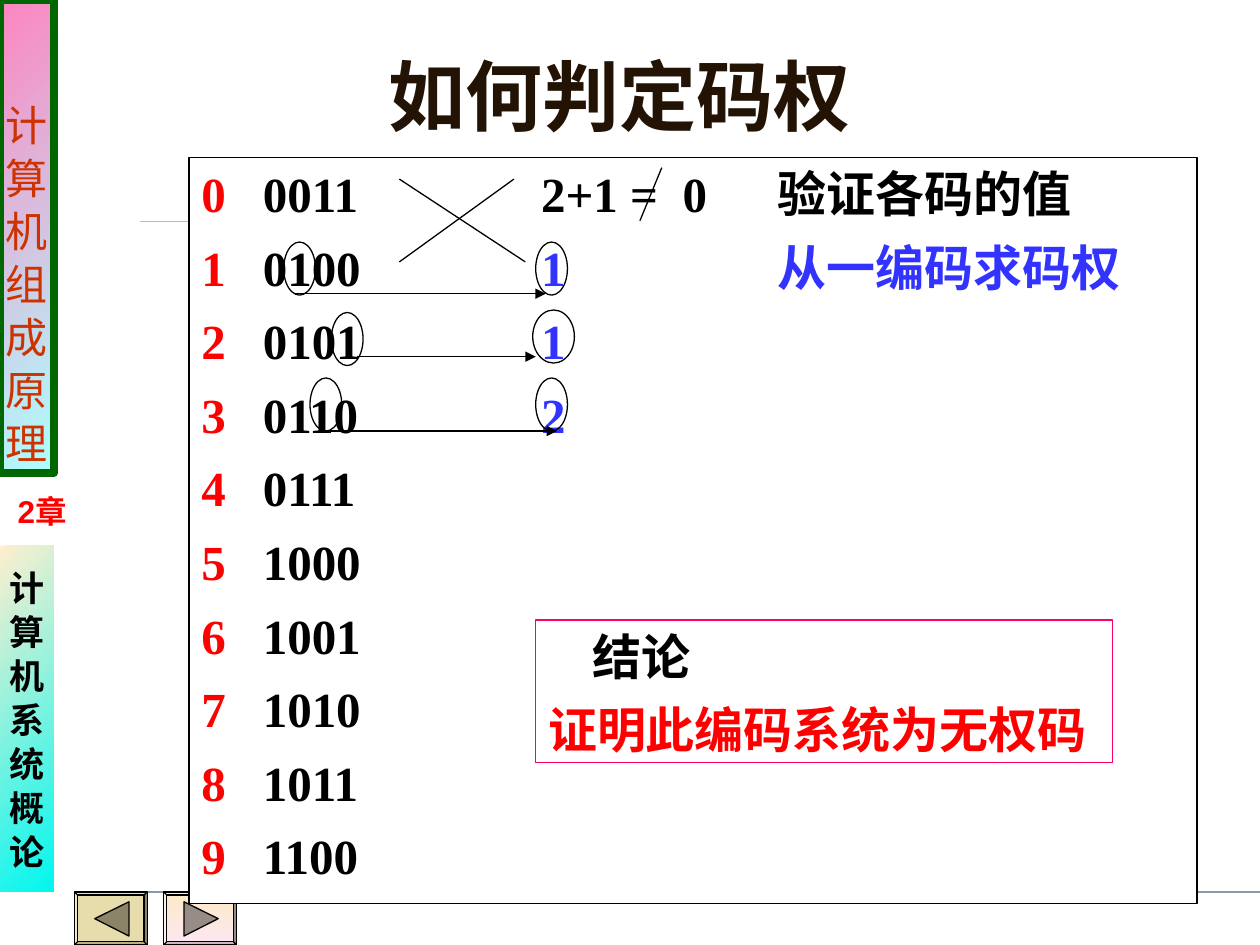
from lxml.etree import SubElement
from pptx import Presentation
from pptx.dml.color import RGBColor
from pptx.enum.shapes import MSO_CONNECTOR, MSO_SHAPE
from pptx.enum.text import MSO_ANCHOR, PP_ALIGN
from pptx.oxml.ns import qn
from pptx.util import Cm, Pt

BLACK = RGBColor(0x00, 0x00, 0x00)
WHITE = RGBColor(0xFF, 0xFF, 0xFF)
RED = RGBColor(0xFF, 0x00, 0x00)
BLUE = RGBColor(0x33, 0x33, 0xFF)
BROWN = RGBColor(0x22, 0x13, 0x04)
RUST = RGBColor(0xCC, 0x33, 0x00)
GREEN = RGBColor(0x00, 0x66, 0x00)
MAGENTA = RGBColor(0xFF, 0x00, 0x66)
PINK = RGBColor(0xFD, 0x85, 0xC1)
AQUA = RGBColor(0xAD, 0xFF, 0xFF)
CREAM = RGBColor(0xFF, 0xEF, 0xCF)
CYAN = RGBColor(0x00, 0xF6, 0xF0)
KHAKI = RGBColor(0xE6, 0xDC, 0xAC)
DARK_KHAKI = RGBColor(0x8B, 0x84, 0x68)
PEACH = RGBColor(0xFB, 0xEA, 0xC7)
ROSE = RGBColor(0xFE, 0xE7, 0xF2)
DARK_ROSE = RGBColor(0x99, 0x8B, 0x86)
SAND = RGBColor(0xCB, 0xBD, 0x83)
STEEL = RGBColor(0x87, 0x99, 0xAE)

SERIF, SANS = "Times New Roman", "Arial"
ROW_GAP = Pt(8.4)
# Column positions in the code list: code, weight, equals result, remark
CODE, WEIGHT, RESULT, REMARK = 1.24, 6.85, 9.7, 11.62

CODE_ROWS = [
    [("0", RED), ("\t0011\t2+1 =\t0\t验证各码的值", BLACK)],
    [("1", RED), ("\t0100", BLACK), ("\t1\t从一编码求码权", BLUE)],
    [("2", RED), ("\t0101", BLACK), ("\t1", BLUE)],
    [("3", RED), ("\t0110", BLACK), ("\t2", BLUE)],
] + [
    [(str(digit), RED), ("\t" + code, BLACK)]
    for digit, code in enumerate(["0111", "1000", "1001", "1010", "1011", "1100"], 4)
]
# Left, top and width of the rings round bits and weights
RINGS = [(5.72, 4.88, 0.64), (10.8, 4.88, 0.64), (6.68, 6.3, 0.64),
         (10.74, 6.25, 0.84), (6.25, 7.62, 0.64), (10.8, 7.62, 0.64)]
# Start, end and height of the arrows from bit to weight
ARROWS = [(5.92, 11, 5.92), (7.19, 10.8, 7.19), (6.55, 11.23, 8.69)]


def paint(shape, fill=None, line=None, weight=0.75, angle=315):
    """Fill with nothing, one colour or a pair of gradient colours."""
    shape.shadow.inherit = False
    if fill is None:
        shape.fill.background()
    elif isinstance(fill, list):
        shape.fill.gradient()
        shape.fill.gradient_angle = angle
        for stop, color in zip(shape.fill.gradient_stops, fill):
            stop.color.rgb = color
    else:
        shape.fill.solid()
        shape.fill.fore_color.rgb = fill
    if line is None:
        shape.line.fill.background()
    else:
        shape.line.color.rgb = line
        shape.line.width = Pt(weight)


def add_box(slide, kind, left, top, width, height, **look):
    box = slide.shapes.add_shape(kind, Cm(left), Cm(top), Cm(width), Cm(height))
    paint(box, **look)
    return box


def add_line(slide, start, end, color=BLACK, weight=0.75, arrow=False):
    line = slide.shapes.add_connector(
        MSO_CONNECTOR.STRAIGHT, *map(Cm, start), *map(Cm, end))
    line.line.color.rgb = color
    line.line.width = Pt(weight)
    if arrow:
        SubElement(line.line._get_or_add_ln(), qn("a:tailEnd"), type="triangle")
    SubElement(line._element.spPr, qn("a:effectLst"))


def add_run(paragraph, words, size, color, font=SERIF, bold=True):
    run = paragraph.add_run()
    run.text = words
    run.font.name = font
    run.font.size = Pt(size)
    run.font.bold = bold
    run.font.color.rgb = color


def write_rows(frame, rows, size, gap, align=PP_ALIGN.LEFT, **style):
    """Write one paragraph for each row of (words, colour) pairs."""
    for index, row in enumerate(rows):
        paragraph = frame.add_paragraph() if index else frame.paragraphs[0]
        paragraph.alignment = align
        if index:
            paragraph.space_before = gap
        for words, color in row:
            add_run(paragraph, words, size, color, **style)


def set_tabs(paragraph, stops):
    tabs = SubElement(paragraph._p.get_or_add_pPr(), qn("a:tabLst"))
    for stop in stops:
        SubElement(tabs, qn("a:tab"), pos=str(Cm(stop)), algn="l")


def add_banner(slide, top, height, words, color, size, gap, anchor, bold, **look):
    """A narrow band with one character to a line."""
    banner = add_box(slide, MSO_SHAPE.RECTANGLE, 0, top, 1.09, height, **look)
    frame = banner.text_frame
    frame.word_wrap = False
    frame.vertical_anchor = anchor
    frame.margin_bottom = Cm(0.1)
    write_rows(frame, [[(char, color)] for char in words], size, Pt(gap),
               PP_ALIGN.CENTER, font=SANS, bold=bold)


def add_button(slide, left, fill, arrow_color, forward):
    top = 17.98
    button = add_box(slide, MSO_SHAPE.BEVEL, left, top, 1.47, 1.07,
                     fill=fill, line=BLACK, angle=270)
    button.adjustments[0] = 0.06
    base, tip = (0.41, 1.1) if forward else (1.1, 0.41)
    outline = slide.shapes.build_freeform(Cm(left + base), Cm(top + 0.2))
    outline.add_line_segments([(Cm(left + tip), Cm(top + 0.54)),
                               (Cm(left + base), Cm(top + 0.89))])
    paint(outline.convert_to_shape(), arrow_color, BLACK)


def add_frame(slide):
    """Rules, side banners, chapter label and page buttons."""
    add_line(slide, (2.82, 4.45), (24.13, 4.45), SAND, 0.25)
    add_line(slide, (1.7, 17.98), (25.4, 17.98), STEEL)
    add_banner(slide, 0, 9.53, "计算机组成原理", RUST, 24, 1.5, MSO_ANCHOR.BOTTOM,
               False, fill=[PINK, AQUA], line=GREEN, weight=4.5)
    add_banner(slide, 11, 6.98, "计算机系统概论", BLACK, 20, 1.2, MSO_ANCHOR.MIDDLE,
               True, fill=[CREAM, CYAN])
    add_button(slide, 1.5, KHAKI, DARK_KHAKI, forward=False)
    add_button(slide, 3.3, [PEACH, ROSE], DARK_ROSE, forward=True)
    chapter = slide.shapes.add_textbox(Cm(0), Cm(9.8), Cm(1.7), Cm(1.02))
    chapter.text_frame.word_wrap = True
    write_rows(chapter.text_frame, [[("2章", RED)]], 18, Pt(0),
               PP_ALIGN.CENTER, font=SANS)


def add_title(slide):
    title = slide.shapes.title
    title.left, title.top, title.width, title.height = map(Cm, (1.7, 0.64, 21.59, 2.54))
    title.text_frame.vertical_anchor = MSO_ANCHOR.MIDDLE
    write_rows(title.text_frame, [[("如何判定码权", BROWN)]], 44, Pt(0), PP_ALIGN.CENTER)


def add_code_list(slide):
    codes = add_box(slide, MSO_SHAPE.RECTANGLE, 3.81, 3.18, 20.32, 15.04,
                    fill=WHITE, line=BLACK)
    codes.text_frame.vertical_anchor = MSO_ANCHOR.TOP
    write_rows(codes.text_frame, CODE_ROWS, 28, ROW_GAP)
    for index, paragraph in enumerate(codes.text_frame.paragraphs):
        set_tabs(paragraph, [CODE, WEIGHT, REMARK] if index
                 else [CODE, WEIGHT, RESULT, REMARK])


def add_marks(slide):
    # Cross between the codes and the sum
    add_line(slide, (10.36, 3.61), (8.05, 5.28))
    add_line(slide, (8.05, 3.61), (10.59, 5.28))
    # Stroke through the equals sign
    add_line(slide, (13.34, 3.38), (12.9, 4.45))
    for left, top, width in RINGS:
        add_box(slide, MSO_SHAPE.OVAL, left, top, width, 1.07, line=BLACK)
    for start, end, height in ARROWS:
        add_line(slide, (start, height), (end, height), arrow=True)


def add_conclusion(slide):
    conclusion = add_box(slide, MSO_SHAPE.RECTANGLE, 10.8, 12.5, 11.63, 2.87, line=MAGENTA)
    frame = conclusion.text_frame
    frame.vertical_anchor = MSO_ANCHOR.TOP
    write_rows(frame, [[("结论", BLACK)], [("证明此编码系统为无权码", RED)]], 28, ROW_GAP)
    frame.paragraphs[0]._p.get_or_add_pPr().set("marL", str(Cm(0.9)))


def main():
    deck = Presentation()
    deck.slide_width, deck.slide_height = Cm(25.4), Cm(19.05)
    slide = deck.slides.add_slide(deck.slide_layouts[5])
    add_frame(slide)
    add_title(slide)
    add_code_list(slide)
    add_marks(slide)
    add_conclusion(slide)
    deck.save("out.pptx")


if __name__ == "__main__":
    main()
